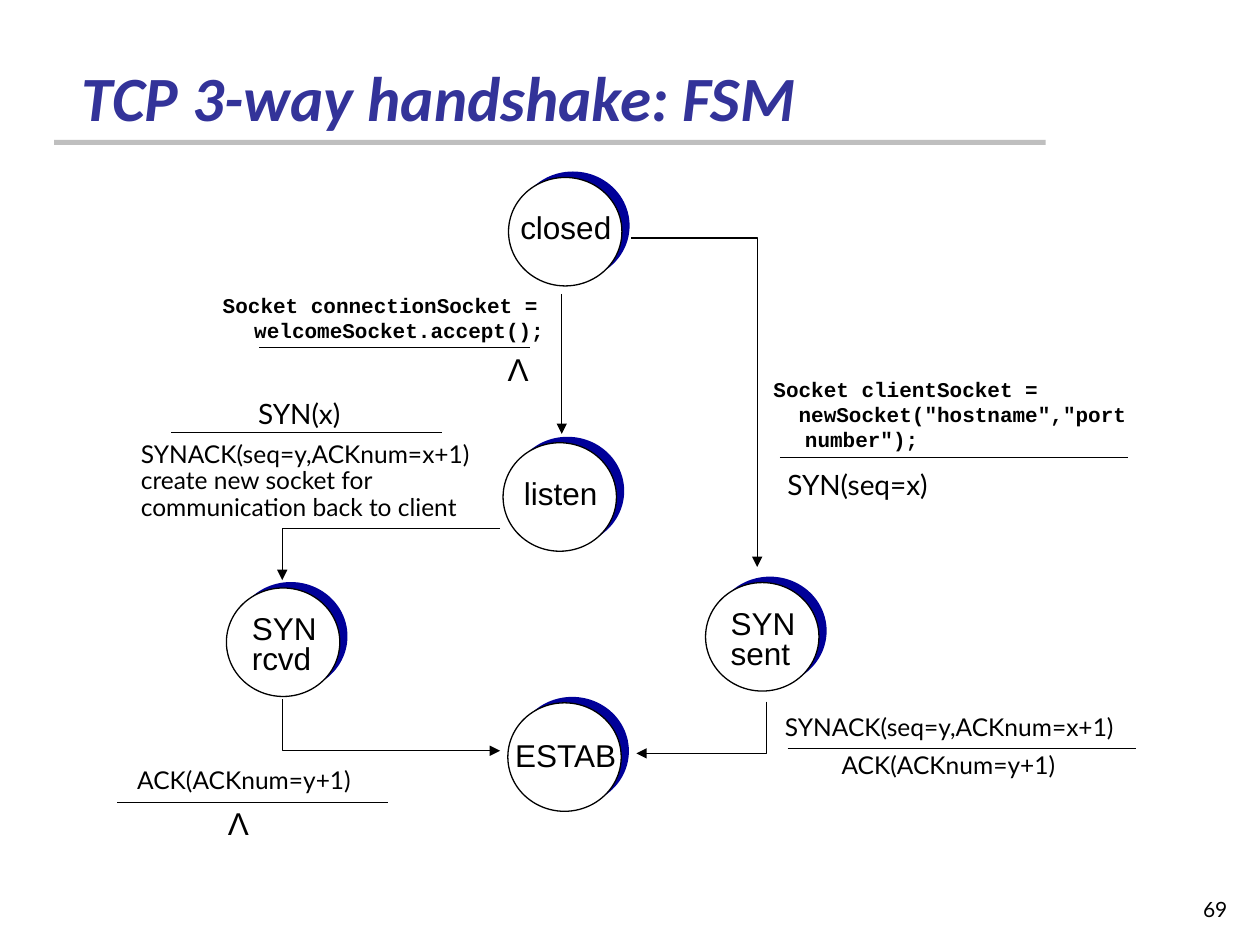
import pptx
import pptx.util
import pptx.dml.color
import pptx.enum.shapes
import pptx.enum.text
import pptx.oxml.ns
from lxml import etree

Pt = pptx.util.Pt
SHAPE = pptx.enum.shapes.MSO_SHAPE
ALIGN = pptx.enum.text.PP_ALIGN
BLACK = "000000"


def color(value):
    return pptx.dml.color.RGBColor.from_string(value)


def style_font(p, name, size, value=BLACK, bold=False, italic=False):
    font = p.font
    font.name, font.size, font.bold, font.italic = name, Pt(size), bold, italic
    font.color.rgb = color(value)


def add_title(s, text):
    sp = s.shapes.title
    sp.left, sp.top, sp.width, sp.height = Pt(39.6), Pt(13), Pt(598.3), Pt(67)
    tf = sp.text_frame
    tf.text = text
    tf.vertical_anchor = pptx.enum.text.MSO_ANCHOR.BOTTOM
    p = tf.paragraphs[0]
    p.alignment = ALIGN.LEFT
    style_font(p, "Calibri", 36, "333399", True, True)


def add_text(s, box, lines, name, size, spacing=None, align=ALIGN.LEFT):
    tf = s.shapes.add_textbox(*map(Pt, box)).text_frame
    tf.word_wrap = False
    for i, line in enumerate(lines):
        p = tf.add_paragraph() if i else tf.paragraphs[0]
        p.text = line
        p.alignment = align
        p.line_spacing = spacing
        style_font(p, name, size)
    return tf


def add_code(s, box, paragraphs):
    tf = add_text(s, box, [text for text, _ in paragraphs], "Courier New", 12)
    tf.word_wrap = True
    for p, (_, indent) in zip(tf.paragraphs, paragraphs):
        p.font.bold = True
        props = p._p.get_or_add_pPr()
        props.set("marL", str(Pt(18)))
        props.set("indent", str(Pt(indent)))


def add_filled(shapes, kind, box, fill, line=None):
    sp = shapes.add_shape(kind, *map(Pt, box))
    sp.shadow.inherit = False
    sp.fill.solid()
    sp.fill.fore_color.rgb = color(fill)
    if line:
        sp.line.color.rgb = color(line)
        sp.line.width = Pt(0.75)
    else:
        sp.line.fill.background()


def add_state(s, x, y, label_box, lines, spacing=None):
    group = s.shapes.add_group_shape()
    size = (64.8, 62)
    add_filled(group.shapes, SHAPE.OVAL, (x + 4.4, y - 3.4, *size), "000099")
    add_filled(group.shapes, SHAPE.OVAL, (x, y, *size), "FFFFFF", BLACK)
    add_text(s, label_box, lines, "Arial", 18, spacing)


def style_line(sp, arrow):
    sp.line.color.rgb = color(BLACK)
    sp.line.width = Pt(0.75)
    if arrow:
        tail = etree.SubElement(sp.line._get_or_add_ln(), pptx.oxml.ns.qn("a:tailEnd"))
        tail.set("type", "triangle")


def add_line(s, x1, y1, x2, y2, arrow=False):
    sp = s.shapes.add_connector(
        pptx.enum.shapes.MSO_CONNECTOR.STRAIGHT, Pt(x1), Pt(y1), Pt(x2), Pt(y2))
    style_line(sp, arrow)
    etree.SubElement(sp._element.spPr, pptx.oxml.ns.qn("a:effectLst"))


def add_elbow(s, *points):
    start, *rest = [(Pt(x), Pt(y)) for x, y in points]
    builder = s.shapes.build_freeform(*start)
    builder.add_line_segments(rest, close=False)
    sp = builder.convert_to_shape()
    sp.fill.background()
    style_line(sp, True)
    sp.shadow.inherit = False


def main():
    prs = pptx.Presentation()
    prs.slide_width, prs.slide_height = Pt(720), Pt(540)
    s = prs.slides.add_slide(prs.slide_layouts[5])

    add_filled(s.shapes, SHAPE.RECTANGLE, (31, 80, 566.6, 2.9), "BFBFBF")
    add_text(s, (655.2, 509, 53.3, 21.6), ["69"], "Lato", 12, align=ALIGN.RIGHT)
    add_title(s, "TCP 3-way handshake: FSM")

    add_state(s, 290.6, 101.4, (290.2, 115.2, 66.2, 28.8), ["closed"])
    add_state(s, 287.5, 253, (292.3, 267.1, 56.2, 28.8), ["listen"])
    add_state(s, 129.4, 336, (136.8, 348.5, 51.8, 41.8), ["SYN", "rcvd"], 0.8)
    add_state(s, 403.2, 332.9, (410.4, 345.6, 51.8, 41.8), ["SYN", "sent"], 0.8)
    add_state(s, 290.2, 401.6, (287.3, 421.2, 73.4, 24.5), ["ESTAB"], 0.8)

    add_elbow(s, (360.7, 136), (432.7, 136), (432.7, 324))
    add_line(s, 321, 168, 321, 248, arrow=True)
    add_elbow(s, (285.8, 302), (161.3, 302), (161.3, 331.5))
    add_elbow(s, (161.3, 399.6), (161.3, 429), (285.8, 429))
    add_elbow(s, (438, 401), (438, 430.5), (363.6, 430.5))

    add_code(s, (120.2, 163.4, 203, 36),
             [("Socket connectionSocket = welcomeSocket.accept();", -18)])
    add_code(s, (434.9, 211.7, 227.5, 50.4),
             [("Socket clientSocket =", -18),
              ('newSocket("hostname","port number");', -3.6)])

    for x1, x2, y in [(148.3, 303.1, 198.7), (445.7, 644.4, 261.4),
                      (97.9, 252.7, 247), (450, 649.4, 427.9),
                      (67, 221.8, 458.6)]:
        add_line(s, x1, y, x2, y)

    for x, y in [(283, 196.6), (123.1, 455.8)]:
        add_text(s, (x, y, 26.6, 28.8), ["Λ"], "Arial", 18)
    for x, y, width, text in [(140.4, 223.2, 63.4, "SYN(x)"),
                              (442.8, 263.5, 99.4, "SYN(seq=x)")]:
        add_text(s, (x, y, width, 26.6), [text], "Lato", 16)

    synack, ack = "SYNACK(seq=y,ACKnum=x+1)", "ACK(ACKnum=y+1)"
    for x, y, width, lines in [
            (73.4, 249, 205.2,
             [synack, "create new socket for", "communication back to client"]),
            (441.4, 405, 205.2, [synack]),
            (473.8, 427, 137.5, [ack]),
            (71.3, 435.4, 137.5, [ack])]:
        add_text(s, (x, y, width, 7.2 + 15.1 * len(lines)), lines, "Lato", 14, 0.9)

    prs.save("out.pptx")


if __name__ == "__main__":
    main()
